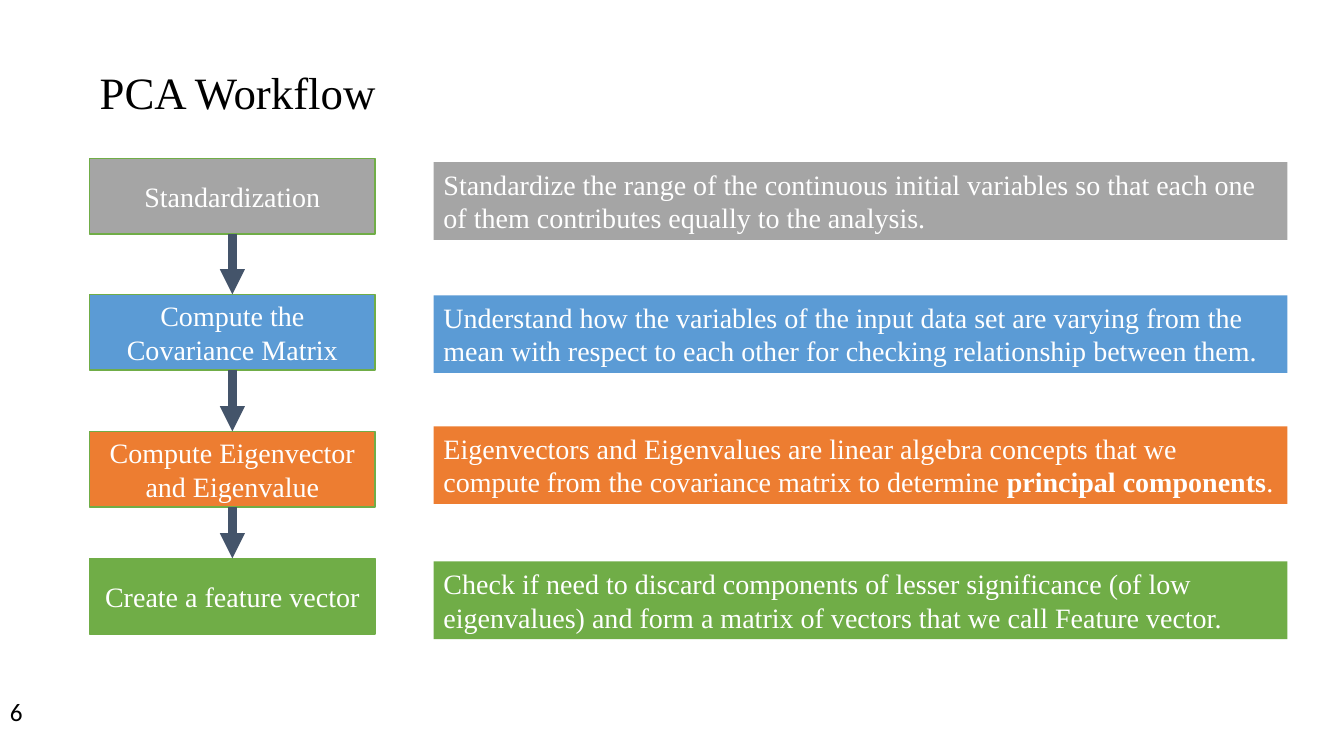
import pptx
import pptx.util
import pptx.dml.color
import pptx.enum.shapes
import pptx.enum.text
import pptx.oxml
import pptx.oxml.ns
from dataclasses import dataclass

Inches = pptx.util.Inches
Pt = pptx.util.Pt
RGB = pptx.dml.color.RGBColor.from_string
ALIGN = pptx.enum.text.PP_ALIGN
ANCHOR = pptx.enum.text.MSO_ANCHOR
FIT = pptx.enum.text.MSO_AUTO_SIZE
RECTANGLE = pptx.enum.shapes.MSO_SHAPE.RECTANGLE
STRAIGHT = pptx.enum.shapes.MSO_CONNECTOR.STRAIGHT


@dataclass
class Theme:
    ink: str = "000000"
    light: str = "FFFFFF"
    gray: str = "A5A5A5"
    blue: str = "5B9BD5"
    orange: str = "ED7D31"
    green: str = "70AD47"
    arrow: str = "44546A"
    serif: str = "Times New Roman"
    sans: str = "Calibri"
    title_size: int = 32
    body_size: int = 20
    number_size: int = 18


theme = Theme()


def write_text(holder, runs, font_name, size, color, frame_format, paragraph_format):
    frame = holder.text_frame
    for name, value in frame_format.items():
        setattr(frame, name, value)
    paragraph = frame.paragraphs[0]
    for name, value in paragraph_format.items():
        setattr(paragraph, name, value)
    for words, bold in runs:
        run = paragraph.add_run()
        run.text = words
        for name, value in {"name": font_name, "size": Pt(size), "bold": bold}.items():
            setattr(run.font, name, value)
        run.font.color.rgb = RGB(color)


def add_panel(left, top, width, height, fill, outline):
    panel = slide.shapes.add_shape(
        RECTANGLE, Inches(left), Inches(top), Inches(width), Inches(height))
    panel.shadow.inherit = False
    panel.fill.solid()
    panel.fill.fore_color.rgb = RGB(fill)
    if outline:
        panel.line.color.rgb = RGB(outline)
        panel.line.width = Pt(1)
    else:
        panel.line.fill.background()
    return panel


deck = pptx.Presentation()
deck.slide_width = Inches(13.33)
deck.slide_height = Inches(7.5)
slide = deck.slides.add_slide(deck.slide_layouts[6])

title = slide.shapes.add_textbox(Inches(0.89), Inches(0.49), Inches(11.23), Inches(0.9))
write_text(title, [("PCA Workflow", False)], theme.serif, theme.title_size, theme.ink,
           {"word_wrap": True, "vertical_anchor": ANCHOR.MIDDLE}, {"line_spacing": 0.9})

step_left, step_width, step_height = 0.89, 2.83, 0.75
detail_left, detail_width, detail_height = 4.3, 8.47, 0.77
step_format = {"word_wrap": True, "vertical_anchor": ANCHOR.MIDDLE}
detail_format = {"word_wrap": True, "vertical_anchor": ANCHOR.TOP,
                 "auto_size": FIT.SHAPE_TO_FIT_TEXT}

workflow = [
    (1.57, 1.61, theme.gray, "Standardization", [
        ("Standardize the range of the continuous initial variables so that each one "
         "of them contributes equally to the analysis.", False)]),
    (2.92, 2.93, theme.blue, "Compute the Covariance Matrix", [
        ("Understand how the variables of the input data set are varying from the "
         "mean with respect to each other for checking relationship between them.", False)]),
    (4.28, 4.23, theme.orange, "Compute Eigenvector and Eigenvalue", [
        ("Eigenvectors and Eigenvalues are linear algebra concepts that we "
         "compute from the covariance matrix to determine ", False),
        ("principal components", True),
        (".", False)]),
    (5.54, 5.57, theme.green, "Create a feature vector", [
        ("Check if need to discard components of lesser significance (of low "
         "eigenvalues) and form a matrix of vectors that we call Feature vector.", False)]),
]

for step_top, detail_top, color, step_name, detail_runs in workflow:
    step = add_panel(step_left, step_top, step_width, step_height, color, theme.green)
    write_text(step, [(step_name, False)], theme.serif, theme.body_size, theme.light,
               step_format, {"alignment": ALIGN.CENTER})
    detail = add_panel(detail_left, detail_top, detail_width, detail_height, color, None)
    write_text(detail, detail_runs, theme.serif, theme.body_size, theme.light,
               detail_format, {"alignment": ALIGN.LEFT})

arrow_x = Inches(step_left + step_width / 2)
for current, following in zip(workflow, workflow[1:]):
    arrow = slide.shapes.add_connector(
        STRAIGHT, arrow_x, Inches(current[0] + step_height), arrow_x, Inches(following[0]))
    arrow.line.color.rgb = RGB(theme.arrow)
    arrow.line.width = Pt(6)
    tail = pptx.oxml.parse_xml(
        f'<a:tailEnd {pptx.oxml.ns.nsdecls("a")} type="triangle"/>')
    arrow.line._get_or_add_ln().append(tail)
    effects = pptx.oxml.parse_xml(f'<a:effectLst {pptx.oxml.ns.nsdecls("a")}/>')
    arrow._element.spPr.append(effects)

page_number = slide.shapes.add_textbox(Inches(0), Inches(6.86), Inches(3), Inches(0.4))
write_text(page_number, [("6", False)], theme.sans, theme.number_size, theme.ink,
           {"word_wrap": True}, {"alignment": ALIGN.LEFT})

deck.save("out.pptx")
